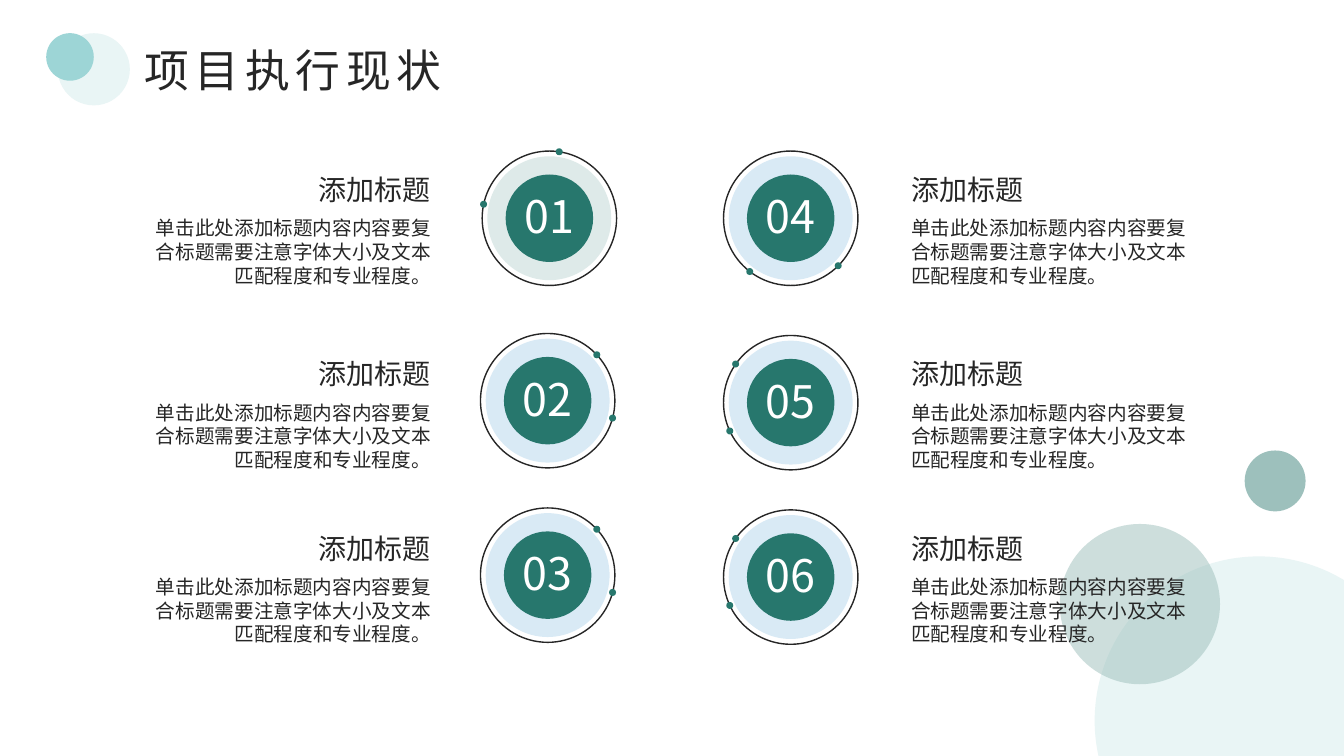
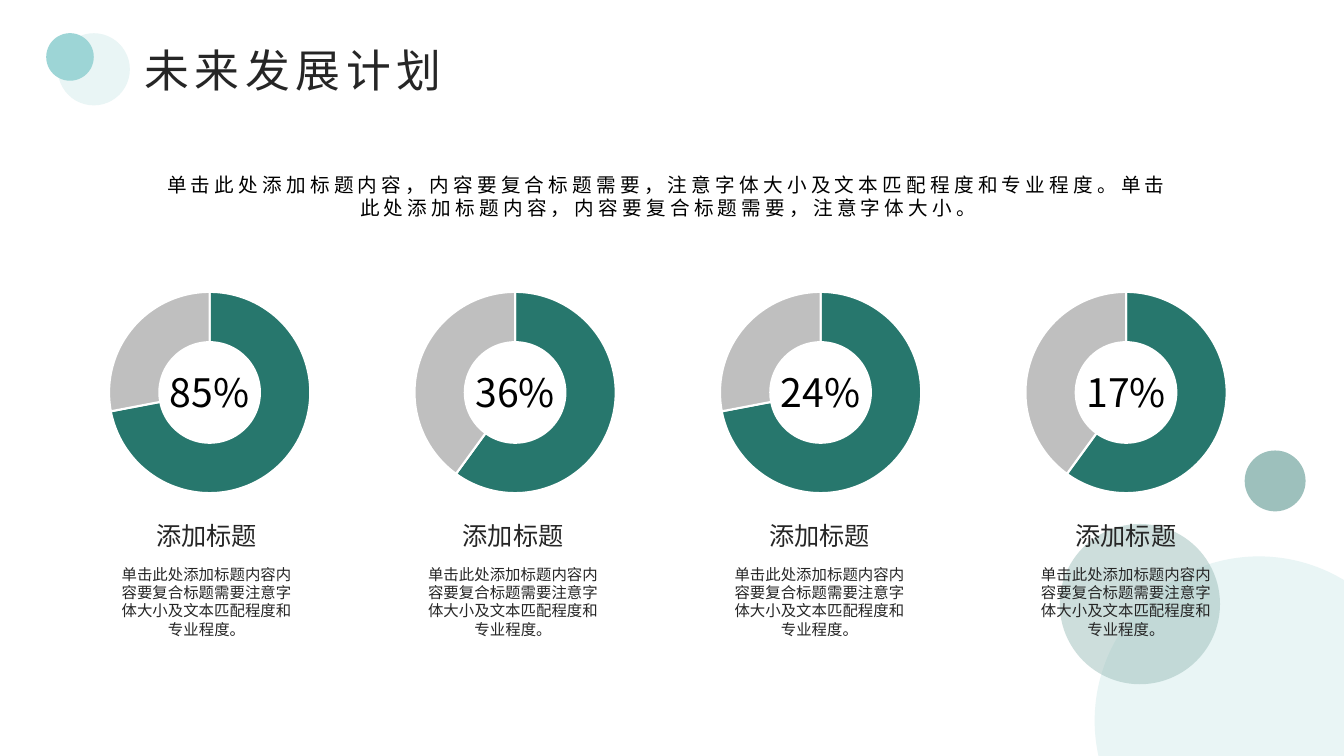
from math import cos, radians, sin

from lxml.etree import SubElement
from pptx import Presentation
from pptx.chart.data import CategoryChartData
from pptx.dml.color import RGBColor
from pptx.enum.chart import XL_CHART_TYPE as CHART
from pptx.enum.shapes import MSO_SHAPE as SHAPE
from pptx.enum.text import MSO_ANCHOR as ANCHOR, MSO_AUTO_SIZE as AUTO, PP_ALIGN as ALIGN
from pptx.oxml.ns import qn
from pptx.util import Pt

GREEN = RGBColor(0x27, 0x77, 0x6D)
BLUE = RGBColor(0x00, 0x77, 0xC1)
SAGE = RGBColor(0x9D, 0xC0, 0xBC)
AQUA = RGBColor(0x9D, 0xD5, 0xD6)
MIST = RGBColor(0xE9, 0xF5, 0xF5)
GRAY = RGBColor(0xBF, 0xBF, 0xBF)
INK = RGBColor(0x26, 0x26, 0x26)
BLACK = RGBColor(0, 0, 0)
WHITE = RGBColor(0xFF, 0xFF, 0xFF)
FONT = "Noto Sans CJK SC"

HEADING = "添加标题"
BODY = "单击此处添加标题内容内容要复合标题需要注意字体大小及文本匹配程度和专业程度。"
INTRO = ("单击此处添加标题内容，内容要复合标题需要，注意字体大小及文本匹配程度和专业程度。"
         "单击此处添加标题内容，内容要复合标题需要，注意字体大小。")

ROW_TOPS = (119.5, 251.3, 375.8)
BADGES = (
    ("01", 392.4, 155.9, GREEN, (192, 278.5)),
    ("02", 391.2, 286.2, BLUE, (15, 317)),
    ("03", 391.2, 410.8, BLUE, (15, 317)),
    ("04", 564.8, 155.9, BLUE, (127.5, 45)),
    ("05", 564.8, 287.6, BLUE, (215, 155)),
    ("06", 564.8, 412.2, BLUE, (215, 155)),
)
RINGS = (("85%", (72, 28)), ("36%", (60, 40)), ("24%", (72, 28)), ("17%", (60, 40)))
RING_PITCH = 218.2
CAPTION_PITCH = 218.9


def write(sp, text, size, color=INK, align=ALIGN.LEFT, spacing=0):
    tf = sp.text_frame
    tf.word_wrap = True
    tf.vertical_anchor = ANCHOR.TOP
    tf.auto_size = AUTO.NONE
    p = tf.paragraphs[0]
    p.text = text
    p.alignment = align
    p.line_spacing = Pt(round(size * 1.22))
    p.font.size = Pt(size)
    p.font.bold = False
    p.font.color.rgb = color
    p.font.name = FONT
    props = p._p.pPr.find(qn("a:defRPr"))
    SubElement(props, qn("a:ea"), typeface=FONT)
    if spacing:
        props.set("spc", str(spacing * 100))


def add_text(shapes, x, y, w, h, text, size, **style):
    sp = shapes.add_textbox(Pt(x), Pt(y), Pt(w), Pt(h))
    write(sp, text, size, **style)


def add_circle(shapes, cx, cy, d, fill=None, alpha=None, line=None):
    sp = shapes.add_shape(SHAPE.OVAL, Pt(cx - d / 2), Pt(cy - d / 2), Pt(d), Pt(d))
    sp.shadow.inherit = False
    if fill is None:
        sp.fill.background()
    else:
        sp.fill.solid()
        sp.fill.fore_color.rgb = fill
    if alpha is not None:
        color = sp._element.spPr.find(qn("a:solidFill"))[0]
        SubElement(color, qn("a:alpha"), val=str(alpha * 1000))
    if line is None:
        sp.line.fill.background()
    else:
        sp.line.color.rgb = line
        sp.line.width = Pt(1)


def add_slide(prs, title):
    s = prs.slides.add_slide(prs.slide_layouts[5])
    corner = s.shapes.add_group_shape().shapes
    add_circle(corner, 899.3, 514.8, 234.7, MIST)
    add_circle(corner, 910.8, 343.5, 43.5, SAGE)
    add_circle(corner, 814.2, 431.5, 114.5, SAGE, alpha=51)
    mark = s.shapes.add_group_shape().shapes
    add_circle(mark, 67, 49.5, 51.5, MIST)
    add_circle(mark, 50, 40.7, 34, AQUA)
    sp = s.shapes.title
    sp.left, sp.top, sp.width, sp.height = Pt(96), Pt(26), Pt(253), Pt(46)
    write(sp, title, 32, spacing=4)
    return s


def add_badge(s, number, cx, cy, halo, angles):
    shapes = s.shapes.add_group_shape().shapes
    add_circle(shapes, cx, cy, 88.5, halo, alpha=15)
    add_circle(shapes, cx, cy, 62.5, GREEN)
    add_circle(shapes, cx, cy, 96, line=INK)
    for angle in angles:
        a = radians(angle)
        add_circle(shapes, cx + 48 * cos(a), cy + 48 * sin(a), 5, GREEN)
    add_text(shapes, cx - 39, cy - 25, 78, 46, number, 32, color=WHITE, align=ALIGN.CENTER)


def add_entry(s, x, y, align):
    indent = 74 if align == ALIGN.RIGHT else 0
    add_text(s.shapes, x + indent, y, 140, 31.5, HEADING, 20, align=align)
    add_text(s.shapes, x, y + 31, 214, 58.5, BODY, 14, align=align)


def add_ring(s, x, values, label):
    data = CategoryChartData()
    data.categories = ("1", "2")
    data.add_series("Series 1", values)
    chart = s.shapes.add_chart(CHART.DOUGHNUT, Pt(x), Pt(198.7), Pt(244.8), Pt(163.4), data).chart
    chart.has_legend = False
    chart.has_title = False
    chart.font.size = Pt(10)
    chart.font.name = "Calibri"
    chart.font.color.rgb = BLACK
    plot = chart.plots[0]
    plot.vary_by_categories = True
    for i, color in enumerate((GREEN, GRAY)):
        form = plot.series[0].points[i].format
        form.fill.solid()
        form.fill.fore_color.rgb = color
        form.line.color.rgb = WHITE
        form.line.width = Pt(1.5)
    area = chart._chartSpace.chart.plotArea
    area.find(".//" + qn("c:holeSize")).set("val", "89")
    layout = area.find(qn("c:layout"))
    if layout is None:
        layout = area.makeelement(qn("c:layout"))
        area.insert(0, layout)
    manual = SubElement(layout, qn("c:manualLayout"))
    for tag, val in (("layoutTarget", "inner"), ("xMode", "edge"), ("yMode", "edge"),
                     ("x", "0.2"), ("y", "0.06"), ("w", "0.6"), ("h", "0.88")):
        SubElement(manual, qn("c:" + tag), val=val)
    add_text(s.shapes, x + 71.6, 259, 101.6, 42, label, 28, color=BLACK, align=ALIGN.CENTER)


def add_caption(s, cx):
    add_text(s.shapes, cx - 52.5, 367.5, 105, 29, HEADING, 18, align=ALIGN.CENTER)
    add_text(s.shapes, cx - 69.5, 400.3, 139, 60.5, BODY, 11, align=ALIGN.CENTER)


def build_status(prs):
    s = add_slide(prs, "项目执行现状")
    for badge in BADGES:
        add_badge(s, *badge)
    for x, align in ((101, ALIGN.RIGHT), (643.7, ALIGN.LEFT)):
        for y in ROW_TOPS:
            add_entry(s, x, y, align)


def build_plan(prs):
    s = add_slide(prs, "未来发展计划")
    add_text(s.shapes, 108.7, 119.5, 737.3, 41, INTRO, 14, color=BLACK,
             align=ALIGN.CENTER, spacing=3)
    for i, (label, values) in enumerate(RINGS):
        add_ring(s, 27.4 + i * RING_PITCH, values, label)
        add_caption(s, 147.6 + i * CAPTION_PITCH)


def main():
    prs = Presentation()
    prs.slide_width, prs.slide_height = Pt(960), Pt(540)
    build_status(prs)
    build_plan(prs)
    prs.save("out.pptx")


if __name__ == "__main__":
    main()
